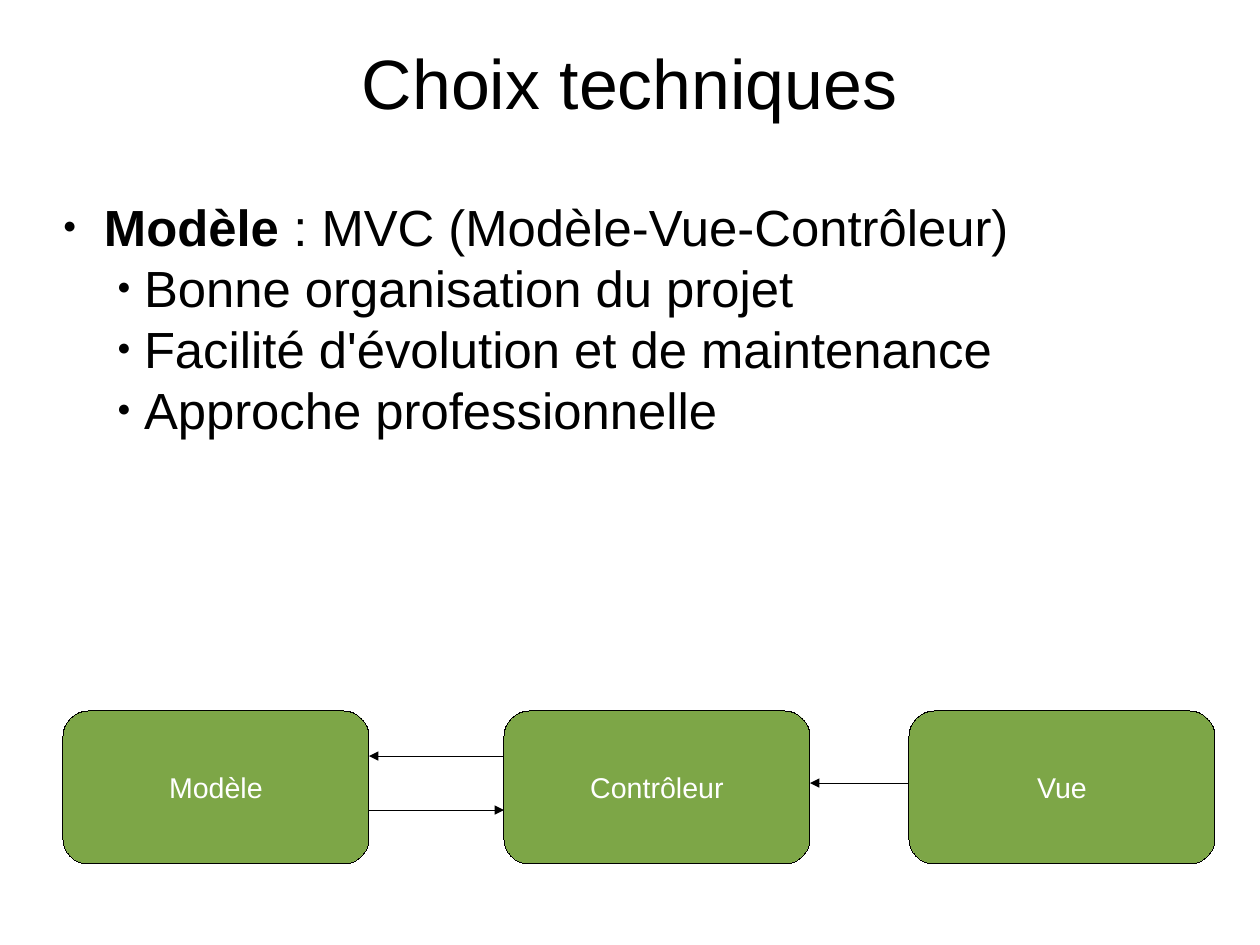
from lxml.etree import SubElement
from pptx import Presentation
from pptx.dml.color import RGBColor
from pptx.enum.shapes import MSO_CONNECTOR, MSO_SHAPE
from pptx.enum.text import MSO_ANCHOR, MSO_AUTO_SIZE, PP_ALIGN
from pptx.oxml.ns import qn
from pptx.util import Pt

PX = 8000  # EMU per px: the page is 1260 by 945 px
THEME = {
    "font": "Arial",
    "ink": RGBColor.from_string("000000"),
    "paper": RGBColor.from_string("FFFFFF"),
    "green": RGBColor.from_string("7DA647"),
    "title": Pt(44),
    "body": Pt(32),
    "label": Pt(18),
    "leading": Pt(38.4),
}
FRAME = {
    "vertical_anchor": MSO_ANCHOR.MIDDLE,
    "auto_size": MSO_AUTO_SIZE.NONE,
    "word_wrap": True,
    "margin_left": 0, "margin_right": 0, "margin_top": 0, "margin_bottom": 0,
}
POINTS = [
    (0, [("Modèle ", True), (": MVC (Modèle-Vue-Contrôleur)", False)]),
    (1, [("Bonne organisation du projet", False)]),
    (1, [("Facilité d'évolution et de maintenance", False)]),
    (1, [("Approche professionnelle", False)]),
]
INDENTS = [(41, -41), (81, -27)]  # text edge and bullet offset per level


def apply(target, values):
    for name, value in values.items():
        setattr(target, name, value)


def place(shape, box):
    apply(shape, dict(zip(("left", "top", "width", "height"), (n * PX for n in box))))


def add_span(para, text, size, color, bold=False):
    span = para.add_run()
    span.text = text
    apply(span.font, {"name": THEME["font"], "size": THEME[size], "bold": bold})
    span.font.color.rgb = THEME[color]


def add_bullet(para, level):
    edge, offset = INDENTS[level]
    props = para._p.get_or_add_pPr()
    props.set("marL", str(edge * PX))
    props.set("indent", str(offset * PX))
    color = SubElement(props, qn("a:buClr"))
    SubElement(color, qn("a:srgbClr"), val=str(THEME["ink"]))
    SubElement(props, qn("a:buSzPct"), val="45000")
    SubElement(props, qn("a:buFont"), typeface=THEME["font"])
    SubElement(props, qn("a:buChar"), char="●")


def fill_title(page, box):
    title = page.shapes.title
    place(title, box)
    apply(title.text_frame, FRAME)
    para = title.text_frame.paragraphs[0]
    para.alignment = PP_ALIGN.CENTER
    add_span(para, "Choix techniques", "title", "ink")


def fill_points(page, box):
    body = page.placeholders[1]
    place(body, box)
    frame = body.text_frame
    apply(frame, FRAME)
    for index, (level, spans) in enumerate(POINTS):
        para = frame.add_paragraph() if index else frame.paragraphs[0]
        apply(para, {"level": level, "alignment": PP_ALIGN.LEFT, "space_before": Pt(0),
                     "space_after": Pt(0), "line_spacing": THEME["leading"]})
        add_bullet(para, level)
        for text, bold in spans:
            add_span(para, text, "body", "ink", bold)


def draw_hairline(shape):
    shape.line.color.rgb = THEME["ink"]
    # The width property drops a zero, so the attribute is set directly
    line = shape.line._get_or_add_ln()
    line.set("w", "0")
    return line


def add_block(page, name, box):
    block = page.shapes.add_shape(MSO_SHAPE.ROUNDED_RECTANGLE, *(n * PX for n in box))
    block.adjustments[0] = 0.167
    block.shadow.inherit = False
    block.fill.solid()
    block.fill.fore_color.rgb = THEME["green"]
    draw_hairline(block)
    apply(block.text_frame, {"vertical_anchor": MSO_ANCHOR.MIDDLE, "word_wrap": False})
    para = block.text_frame.paragraphs[0]
    para.alignment = PP_ALIGN.CENTER
    add_span(para, name, "label", "paper")


def add_arrow(page, start, end, y):
    arrow = page.shapes.add_connector(
        MSO_CONNECTOR.STRAIGHT, start * PX, y * PX, end * PX, y * PX)
    SubElement(draw_hairline(arrow), qn("a:tailEnd"), type="triangle")
    SubElement(arrow._element.spPr, qn("a:effectLst"))


def draw_mvc(page, box):
    left, top, width, height = box
    block_width = 306
    model, controller, view = left, left + 441, left + width - block_width
    for name, x in (("Modèle", model), ("Contrôleur", controller), ("Vue", view)):
        add_block(page, name, (x, top, block_width, height))
    # Arrows run between the facing sides of neighbouring blocks
    add_arrow(page, controller, model + block_width, top + 45)
    add_arrow(page, model + block_width, controller, top + 99)
    add_arrow(page, view, controller + block_width, top + 72)


def main():
    deck = Presentation()
    apply(deck, {"slide_width": 1260 * PX, "slide_height": 945 * PX})
    page = deck.slides.add_slide(deck.slide_layouts[1])
    fill_title(page, (63, 38, 1134, 88))
    fill_points(page, (63, 204, 1109, 227))
    draw_mvc(page, (63, 711, 1152, 153))
    deck.save("out.pptx")


if __name__ == "__main__":
    main()
